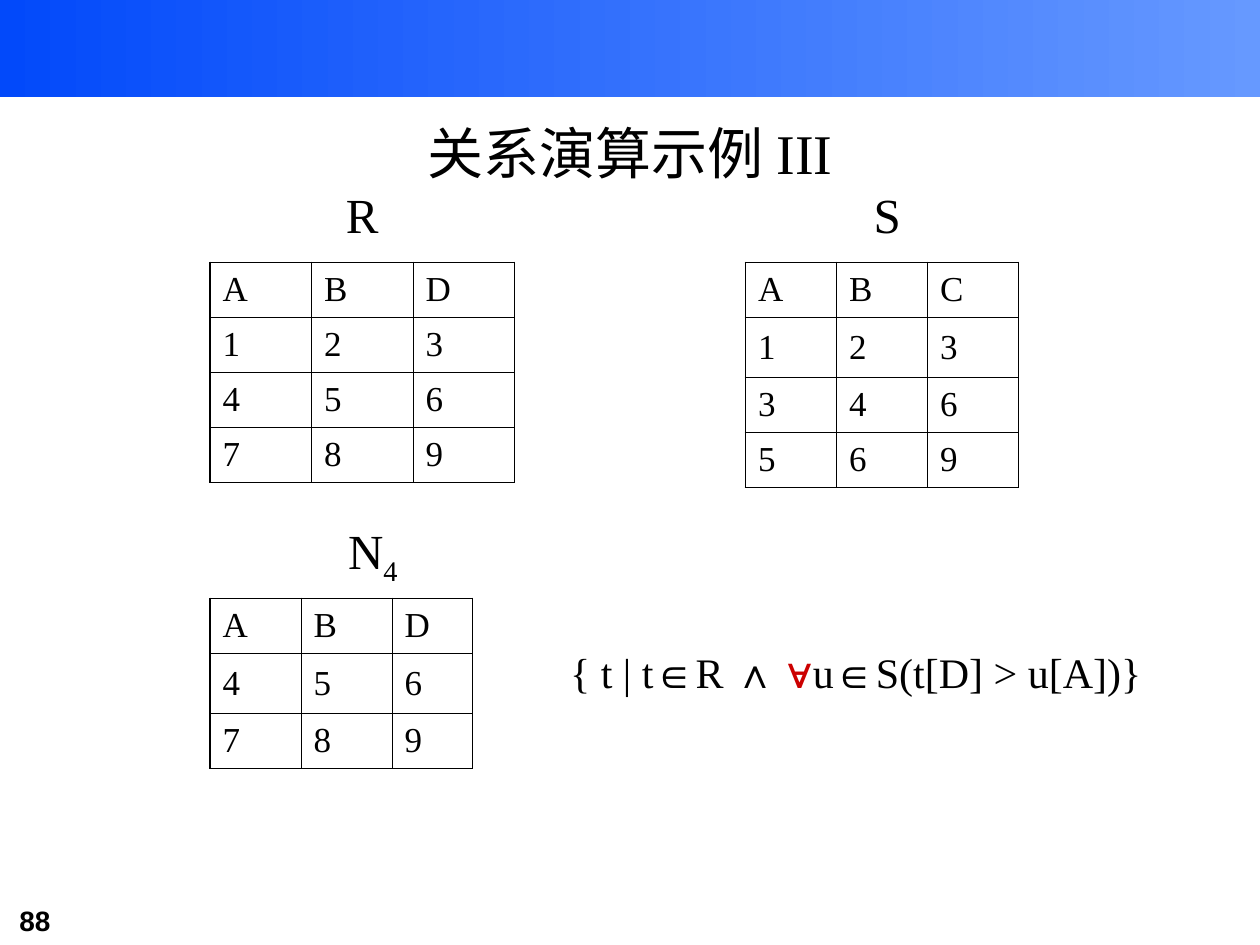
from lxml.etree import SubElement
from pptx import Presentation
from pptx.dml.color import RGBColor
from pptx.enum.shapes import MSO_SHAPE
from pptx.enum.text import MSO_ANCHOR, PP_ALIGN
from pptx.oxml.ns import qn
from pptx.util import Pt

COLORS = {"black": "000000", "red": "CC0000", "bar start": "0249FA", "bar end": "6699FF"}
SERIF, SANS = "Times New Roman", "Arial"
ROW, TALL_ROW = 31.43, 34.29
OUTER_LINE, INNER_LINE = 1.08, 0.45

# Text boxes: text, (left, top, width, height), format
TEXTS = [
    ("88", (4, 513, 88, 27), dict(size=16, font=SANS, bold=True, align=PP_ALIGN.LEFT)),
    ("关系演算示例 III", (54, 48, 612, 78), dict(size=32, anchor=MSO_ANCHOR.MIDDLE)),
    ("R", (180, 102, 54, 41), dict(size=28)),
    ("S", (480, 102, 54, 41), dict(size=28)),
    ([("N", {}), ("4", {"baseline": -25})], (186, 294, 54, 45), dict(size=28)),
    ([
        ("{ t | t", {}),
        ("∈", {"font": SANS}),
        ("R ", {}),
        ("∧ ", {"font": SANS}),
        ("∀", {"font": SANS, "color": "red"}),
        ("u", {}),
        ("∈", {"font": SANS}),
        ("S(t[D] > u[A])}", {}),
    ], (300, 366, 378, 80), dict(size=24)),
]

# Relations: (left, top), column widths, row heights, tuples
RELATIONS = [
    ((120, 150), [58, 58, 58], [ROW] * 4, ["ABD", "123", "456", "789"]),
    ((426, 150), [52, 52, 52], [ROW, TALL_ROW, ROW, ROW], ["ABC", "123", "346", "569"]),
    ((120, 342), [52, 52, 46], [ROW, TALL_ROW, ROW], ["ABD", "456", "789"]),
]


def write_text(frame, text, size=20, font=SERIF, color="black", bold=False,
               align=PP_ALIGN.CENTER, anchor=MSO_ANCHOR.TOP):
    """Fill a text frame from a string or a list of (text, overrides) spans."""
    frame.word_wrap = True
    frame.vertical_anchor = anchor
    para = frame.paragraphs[0]
    para.alignment = align
    for words, changes in [(text, {})] if isinstance(text, str) else text:
        span = para.add_run()
        span.text = words
        span.font.size = Pt(size)
        span.font.bold = bold
        span.font.name = changes.get("font", font)
        span.font.color.rgb = RGBColor.from_string(COLORS[changes.get("color", color)])
        if "baseline" in changes:
            span.font._element.set("baseline", str(changes["baseline"] * 1000))


def set_borders(cell, outer_sides):
    """Draw all four borders, heavier on the sides at the table's edge."""
    properties = cell._tc.get_or_add_tcPr()
    for side in "LRTB":
        width = OUTER_LINE if side in outer_sides else INNER_LINE
        line = SubElement(properties, qn(f"a:ln{side}"), w=str(Pt(width)))
        fill = SubElement(line, qn("a:solidFill"))
        SubElement(fill, qn("a:srgbClr"), val=COLORS["black"])


def add_relation(page, corner, widths, heights, rows):
    box = (*corner, sum(widths), sum(heights))
    table = page.shapes.add_table(len(rows), len(widths), *map(Pt, box)).table
    table.first_row = table.horz_banding = False
    for column, width in zip(table.columns, widths):
        column.width = Pt(width)
    for r, (height, values) in enumerate(zip(heights, rows)):
        table.rows[r].height = Pt(height)
        for c, value in enumerate(values):
            cell = table.cell(r, c)
            edges = {"L": c == 0, "R": c == len(widths) - 1,
                     "T": r == 0, "B": r == len(rows) - 1}
            set_borders(cell, [side for side, at_edge in edges.items() if at_edge])
            cell.fill.background()
            write_text(cell.text_frame, value, align=PP_ALIGN.LEFT)
            cell.vertical_anchor = MSO_ANCHOR.MIDDLE


def add_top_bar(page, width):
    bar = page.shapes.add_shape(MSO_SHAPE.RECTANGLE, 0, 0, width, Pt(55.5))
    bar.shadow.inherit = False
    bar.line.fill.background()
    bar.fill.gradient()
    bar.fill.gradient_angle = 0
    for stop, position, name in zip(bar.fill.gradient_stops, (0, 1), ("bar start", "bar end")):
        stop.position = position
        stop.color.rgb = RGBColor.from_string(COLORS[name])


def main():
    deck = Presentation()
    deck.slide_width, deck.slide_height = Pt(720), Pt(540)
    page = deck.slides.add_slide(deck.slide_layouts[6])
    add_top_bar(page, deck.slide_width)
    for text, place, style in TEXTS:
        box = page.shapes.add_textbox(*map(Pt, place))
        write_text(box.text_frame, text, **style)
    for relation in RELATIONS:
        add_relation(page, *relation)
    deck.save("out.pptx")


if __name__ == "__main__":
    main()
